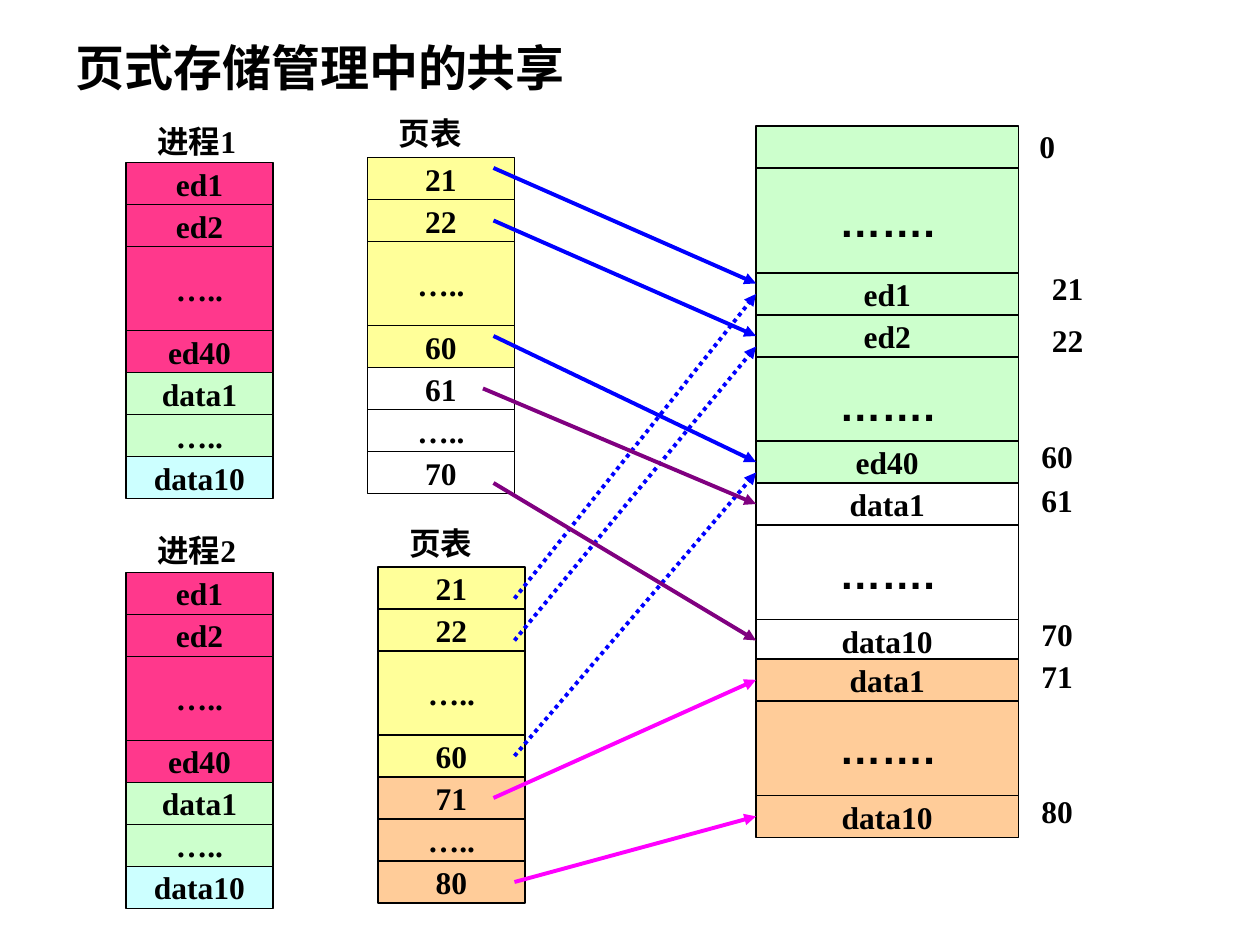
from dataclasses import dataclass

from lxml.etree import SubElement
from pptx import Presentation
from pptx.dml.color import RGBColor
from pptx.enum.dml import MSO_LINE as Dash
from pptx.enum.shapes import MSO_CONNECTOR as Connector, MSO_SHAPE as Shape
from pptx.enum.text import MSO_ANCHOR as Anchor, MSO_AUTO_SIZE as AutoSize, PP_ALIGN as Align
from pptx.oxml.ns import qn
from pptx.util import Inches, Pt


@dataclass(frozen=True)
class Theme:
    ink: str = "000000"
    code: str = "FF388C"
    green: str = "CCFFCC"
    cyan: str = "CCFFFF"
    yellow: str = "FFFF99"
    white: str = "FFFFFF"
    orange: str = "FFCC99"
    blue: str = "0000FF"
    purple: str = "800080"
    magenta: str = "FF00FF"
    serif: str = "Times New Roman"
    sans: str = "Arial"
    chinese: str = "Noto Sans CJK SC"
    title: int = 28
    dots: int = 24
    body: int = 18
    border: float = 0.75
    arrow: float = 2.25


theme = Theme()

GRID = 12
ROW = 4
LABEL_HEIGHT = 4.8
SIDE_WIDTH = 14
MEMORY_LEFT, MEMORY_WIDTH = 72, 25

TITLE = "页式存储管理中的共享"
SHORT_DOTS, LONG_DOTS = "…..", "……."

PROCESS_ROWS = [
    ("ed1", theme.code, 1), ("ed2", theme.code, 1), (SHORT_DOTS, theme.code, 2),
    ("ed40", theme.code, 1), ("data1", theme.green, 1), (SHORT_DOTS, theme.green, 1),
    ("data10", theme.cyan, 1),
]


def page_rows(first, last, fill):
    shared = [("21", 1), ("22", 1), (SHORT_DOTS, 2), ("60", 1)]
    private = [(first, 1), (SHORT_DOTS, 1), (last, 1)]
    return [(text, theme.yellow, rows) for text, rows in shared] + [
        (text, fill, rows) for text, rows in private]


SIDE_STACKS = [
    ("进程1", 10, 12, 15.5, 4.5, PROCESS_ROWS),
    ("进程2", 10, 12, 54.5, 4.5, PROCESS_ROWS),
    ("页表", 8.4, 35, 15, 4.7, page_rows("61", "70", theme.white)),
    ("页表", 8.4, 36, 54, 4.7, page_rows("71", "80", theme.orange)),
]

MEMORY_STACKS = [
    (12, [("", theme.green, 1), (LONG_DOTS, theme.green, 2.5), ("ed1", theme.green, 1),
          ("ed2", theme.green, 1), (LONG_DOTS, theme.green, 2.25)]),
    (42, [("ed40", theme.green, 1), ("data1", theme.white, 1),
          (LONG_DOTS, theme.white, 2.25), ("data10", theme.white, 1)]),
    (62.75, [("data1", theme.orange, 1), (LONG_DOTS, theme.orange, 2.25),
             ("data10", theme.orange, 1)]),
]

ADDRESSES = [
    ("0", 97.8, 11.5), ("21", 99, 25), ("22", 99, 30), ("60", 98, 41), ("61", 98, 45.2),
    ("70", 98, 58), ("71", 98, 62), ("80", 98, 74.8),
]

# start column, start row, memory cell, shift from the cell's middle, colour, dotted
ARROWS = [
    (47, 16, 2, -1, theme.blue, False),
    (47, 21, 3, 0, theme.blue, False),
    (47, 32, 5, 0, theme.blue, False),
    (49, 57, 2, 0, theme.blue, True),
    (49, 61, 3, 1, theme.blue, True),
    (49, 72, 5, 1, theme.blue, True),
    (46, 37, 6, 0, theme.purple, False),
    (47, 46, 8, 0, theme.purple, False),
    (47, 76, 9, 0, theme.magenta, False),
    (49, 84, 11, 0, theme.magenta, False),
]


def grid(*steps):
    return [Inches(step / GRID) for step in steps]


def write(box, text, size=theme.body, font=theme.serif, align=Align.LEFT, anchor=Anchor.TOP):
    frame = box.text_frame
    frame.word_wrap = False
    frame.vertical_anchor = anchor
    para = frame.paragraphs[0]
    para.alignment = align
    if not text:
        return
    span = para.add_run()
    span.text = text
    span.font.size = Pt(size)
    span.font.bold = True
    span.font.name = font
    span.font.color.rgb = RGBColor.from_string(theme.ink)
    SubElement(span.font._element, qn("a:ea")).set("typeface", theme.chinese)


def add_label(page, text, left, top, width):
    box = page.shapes.add_textbox(*grid(left, top, width, LABEL_HEIGHT))
    write(box, text)
    box.text_frame.auto_size = AutoSize.SHAPE_TO_FIT_TEXT


def add_stack(page, left, top, width, rows):
    cells = []
    for text, fill, count in rows:
        cell = page.shapes.add_shape(Shape.RECTANGLE, *grid(left, top, width, count * ROW))
        cell.shadow.inherit = False
        cell.fill.solid()
        cell.fill.fore_color.rgb = RGBColor.from_string(fill)
        cell.line.color.rgb = RGBColor.from_string(theme.ink)
        cell.line.width = Pt(theme.border)
        size, font = (theme.dots, theme.sans) if text == LONG_DOTS else (theme.body, theme.serif)
        write(cell, text, size, font, Align.CENTER, Anchor.MIDDLE)
        cells.append(cell)
        top += count * ROW
    return cells


def add_arrow(page, left, top, cell, shift, colour, dotted):
    end_top = cell.top + cell.height // 2 + Inches(shift / GRID)
    arrow = page.shapes.add_connector(Connector.STRAIGHT, *grid(left, top), cell.left, end_top)
    if shift == 0:
        arrow.end_connect(cell, 1)
    arrow.line.color.rgb = RGBColor.from_string(colour)
    arrow.line.width = Pt(theme.arrow)
    if dotted:
        arrow.line.dash_style = Dash.ROUND_DOT
    SubElement(arrow.line._get_or_add_ln(), qn("a:tailEnd")).set("type", "triangle")
    SubElement(arrow._element.spPr, qn("a:effectLst"))


def main():
    deck = Presentation()
    deck.slide_width, deck.slide_height = Inches(10), Inches(7.5)
    page = deck.slides.add_slide(deck.slide_layouts[5])

    title = page.shapes.title
    title.left, title.top, title.width, title.height = grid(6, 3, 49.3, 6.8)
    write(title, TITLE, theme.title, theme.chinese)

    for heading, heading_width, left, top, gap, rows in SIDE_STACKS:
        add_stack(page, left, top, SIDE_WIDTH, rows)
        add_label(page, heading, left + 1.8, top - gap, heading_width)

    memory = []
    for top, rows in MEMORY_STACKS:
        memory += add_stack(page, MEMORY_LEFT, top, MEMORY_WIDTH, rows)

    for text, left, top in ADDRESSES:
        add_label(page, text, left, top, 4 if len(text) == 1 else 5.4)

    for left, top, target, shift, colour, dotted in ARROWS:
        add_arrow(page, left, top, memory[target], shift, colour, dotted)

    deck.save("out.pptx")


if __name__ == "__main__":
    main()
